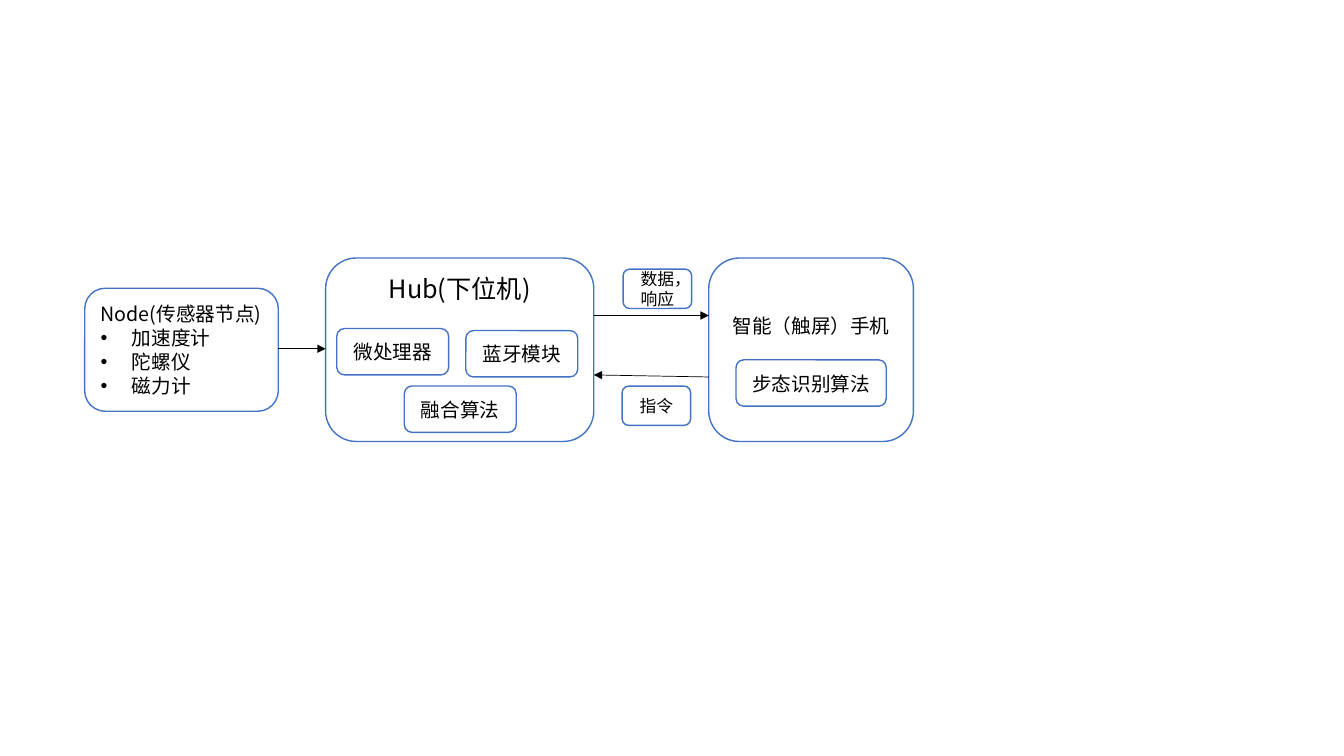
from dataclasses import dataclass

from lxml import etree
from pptx import Presentation
from pptx.dml.color import RGBColor
from pptx.enum.shapes import MSO_CONNECTOR, MSO_SHAPE
from pptx.enum.text import MSO_ANCHOR, PP_ALIGN
from pptx.oxml.ns import qn
from pptx.util import Inches, Pt

ROUND = MSO_SHAPE.ROUNDED_RECTANGLE
STRAIGHT = MSO_CONNECTOR.STRAIGHT
MIDDLE = MSO_ANCHOR.MIDDLE
LEFT, CENTER = PP_ALIGN.LEFT, PP_ALIGN.CENTER


@dataclass(frozen=True)
class Theme:
    font: str = "Noto Sans CJK SC"
    fill: RGBColor = RGBColor(0xFF, 0xFF, 0xFF)
    edge: RGBColor = RGBColor(0x44, 0x72, 0xC4)
    ink: RGBColor = RGBColor(0, 0, 0)
    title: int = 18
    body: int = 14
    small: int = 12
    pitch: float = 1.22
    border: float = 1
    wire: float = 0.5


class Sketch:
    def __init__(self, slide, theme):
        self.slide = slide
        self.theme = theme

    def box(self, x, y, w, h, text, size, lift=0):
        """Draw a rounded box; lift raises its centred text."""
        shape = self.slide.shapes.add_shape(
            ROUND, Inches(x), Inches(y), Inches(w), Inches(h))
        shape.shadow.inherit = False
        shape.fill.solid()
        shape.fill.fore_color.rgb = self.theme.fill
        shape.line.color.rgb = self.theme.edge
        shape.line.width = Pt(self.theme.border)
        frame = shape.text_frame
        frame.word_wrap = True
        frame.vertical_anchor = MIDDLE
        frame.margin_bottom = Inches(0.05 + 2 * lift)
        self.label(frame.paragraphs[0], text, size, CENTER)
        return frame

    def label(self, para, text, size, align):
        para.alignment = align
        para.line_spacing = Pt(round(size * self.theme.pitch, 1))
        run = para.add_run()
        run.text = text
        run.font.size = Pt(size)
        run.font.name = self.theme.font
        run.font.color.rgb = self.theme.ink
        east = etree.SubElement(run.font._element, qn("a:ea"))
        east.set("typeface", self.theme.font)

    def bullet(self, frame, text, size):
        para = frame.add_paragraph()
        self.label(para, text, size, LEFT)
        props = para._p.get_or_add_pPr()
        props.set("marL", str(Inches(0.31)))
        props.set("indent", str(-Inches(0.31)))
        etree.SubElement(props, qn("a:buFont")).set("typeface", "Arial")
        etree.SubElement(props, qn("a:buChar")).set("char", "•")

    def arrow(self, x1, y1, x2, y2):
        wire = self.slide.shapes.add_connector(
            STRAIGHT, Inches(x1), Inches(y1), Inches(x2), Inches(y2))
        wire.line.color.rgb = self.theme.ink
        wire.line.width = Pt(self.theme.wire)
        props = wire._element.spPr
        head = etree.SubElement(props.get_or_add_ln(), qn("a:tailEnd"))
        head.set("type", "triangle")
        etree.SubElement(props, qn("a:effectLst"))


deck = Presentation()
deck.slide_width, deck.slide_height = Inches(13.33), Inches(7.5)
theme = Theme()
sketch = Sketch(deck.slides.add_slide(deck.slide_layouts[6]), theme)

# Sensor node
node = sketch.box(0.84, 2.86, 1.92, 1.22, "Node(传感器节点)", theme.body)
node.paragraphs[0].alignment = LEFT
for sensor in ("加速度计", "陀螺仪", "磁力计"):
    sketch.bullet(node, sensor, theme.body)

# Hub and its parts
sketch.box(3.23, 2.56, 2.66, 1.82, "Hub(下位机)", theme.title, lift=0.61)
for x, y, part in ((3.34, 3.26, "微处理器"),
                   (4.62, 3.28, "蓝牙模块"),
                   (4.01, 3.83, "融合算法")):
    sketch.box(x, y, 1.11, 0.46, part, theme.body)

# Phone and its algorithm
sketch.box(7.03, 2.56, 2.03, 1.82, "智能（触屏）手机", theme.body, lift=0.24)
sketch.box(7.3, 3.57, 1.49, 0.46, "步态识别算法", theme.body)

# Links between the three devices
for ends in ((2.76, 3.46, 3.23, 3.46),
             (5.89, 3.13, 7.03, 3.13),
             (7.03, 3.74, 5.89, 3.72)):
    sketch.arrow(*ends)

# Labels on the links
for x, y, note in ((6.18, 2.67, "数据，响应"), (6.17, 3.83, "指令")):
    sketch.box(x, y, 0.68, 0.39, note, theme.small)

deck.save("out.pptx")
